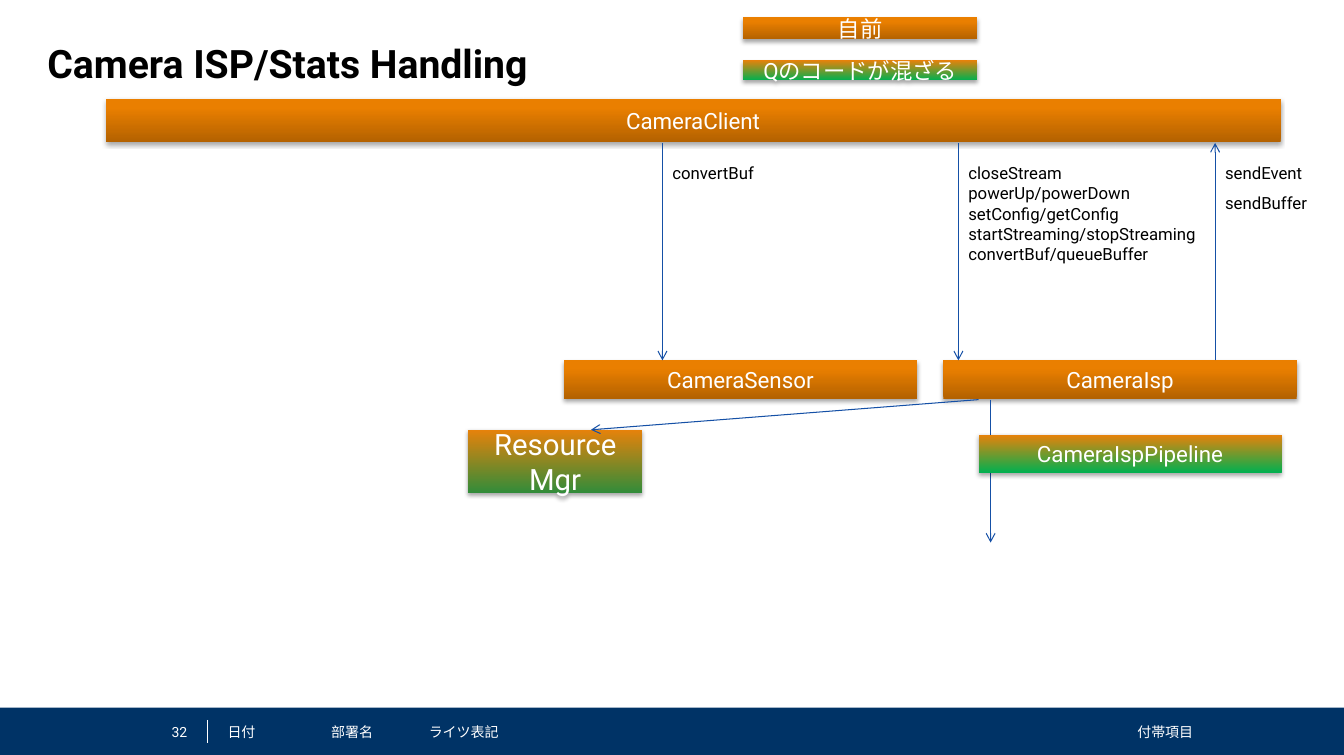
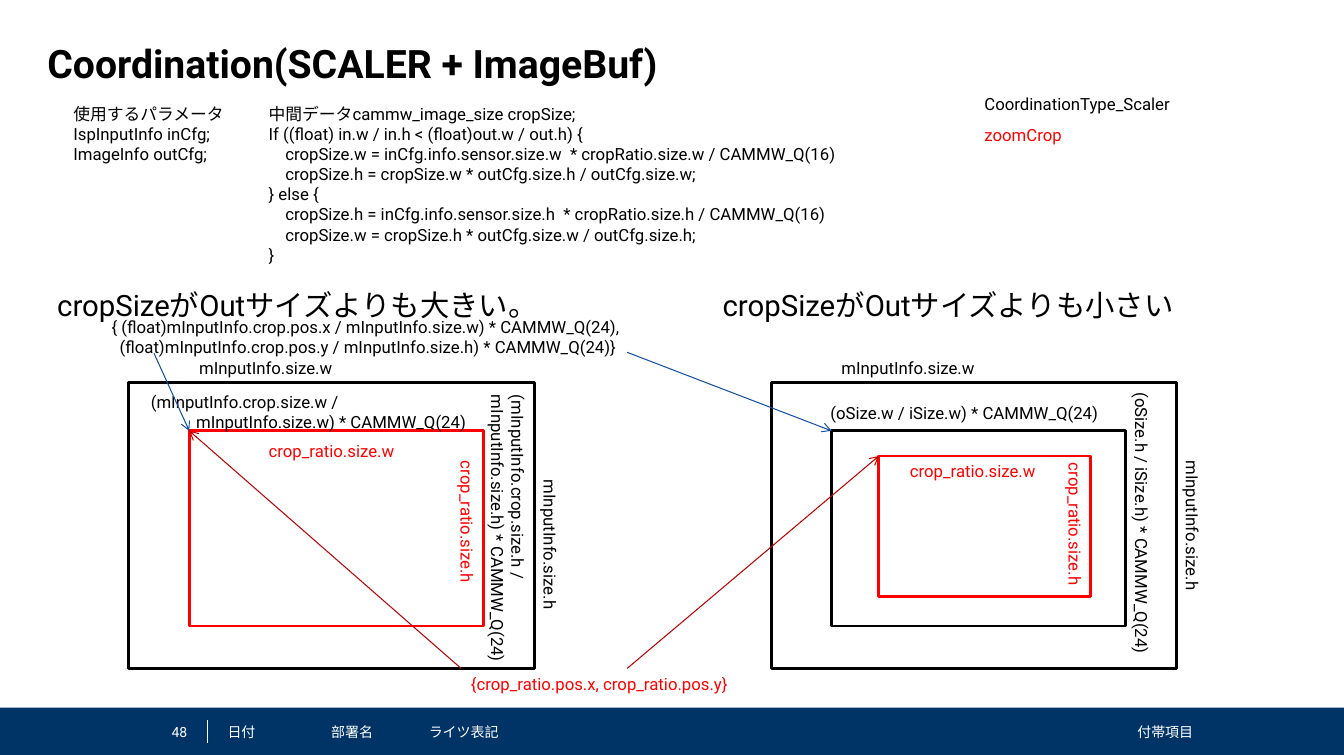
from lxml.etree import SubElement
from pptx import Presentation
from pptx.dml.color import RGBColor
from pptx.enum.shapes import MSO_CONNECTOR, MSO_SHAPE
from pptx.enum.text import MSO_ANCHOR, MSO_AUTO_SIZE, PP_ALIGN
from pptx.oxml.ns import qn
from pptx.util import Inches, Pt

FONT = "Roboto"
BLACK = RGBColor(0x00, 0x00, 0x00)
WHITE = RGBColor(0xFF, 0xFF, 0xFF)
RED = RGBColor(0xFF, 0x00, 0x00)
CRIMSON = RGBColor(0xC0, 0x00, 0x00)
BLUE = RGBColor(0x15, 0x50, 0xA6)
NAVY = RGBColor(0x00, 0x33, 0x66)
OWN = (RGBColor(0xB4, 0x62, 0x00), RGBColor(0xEA, 0x7F, 0x00), 0.8)
MIXED = (RGBColor(0x00, 0xB0, 0x50), RGBColor(0xE6, 0x82, 0x0B), 1)
BLEND = (RGBColor(0x31, 0x8C, 0x3A), RGBColor(0xE6, 0x82, 0x0B), 1)


def area(*sizes):
    return [Inches(size) for size in sizes]


def write(frame, lines, size, color, align=PP_ALIGN.LEFT, bold=False, hang=0):
    for row, line in enumerate(lines):
        para = frame.paragraphs[0] if row == 0 else frame.add_paragraph()
        para.alignment = align
        if row and hang:
            para._p.get_or_add_pPr().set("marL", str(Inches(hang)))
        run = para.add_run()
        run.text = line
        run.font.name = FONT
        run.font.size = Pt(size)
        run.font.bold = bold
        run.font.color.rgb = color


def pad(frame, side, top):
    frame.margin_left = frame.margin_right = Inches(side)
    frame.margin_top = frame.margin_bottom = Inches(top)


def label(slide, x, y, width, lines, color=BLACK, size=12, turn=0, hang=0, wrap=False):
    height = 0.1 + len(lines) * size / 60
    box = slide.shapes.add_textbox(*area(x, y, width, height))
    box.rotation = turn
    frame = box.text_frame
    frame.word_wrap = wrap
    frame.auto_size = MSO_AUTO_SIZE.SHAPE_TO_FIT_TEXT
    pad(frame, 0.1, 0.05)
    write(frame, lines, size, color, hang=hang)


def rect(slide, x, y, width, height):
    shape = slide.shapes.add_shape(MSO_SHAPE.RECTANGLE, *area(x, y, width, height))
    shape.shadow.inherit = False
    return shape


def block(slide, x, y, width, height, text, tint=OWN, size=16):
    shape = rect(slide, x, y, width, height)
    low, high, stop = tint
    shape.fill.gradient()
    shape.fill.gradient_angle = 90
    first, last = shape.fill.gradient_stops
    first.color.rgb, first.position = low, 0
    last.color.rgb, last.position = high, stop
    shape.line.fill.background()
    effect = shape.element.spPr.find(qn("a:effectLst"))
    shade = SubElement(effect, qn("a:outerShdw"), blurRad="40000", dist="23000",
                       dir="5400000", rotWithShape="0")
    tone = SubElement(shade, qn("a:srgbClr"), val="000000")
    SubElement(tone, qn("a:alpha"), val="35000")
    frame = shape.text_frame
    frame.word_wrap = True
    frame.vertical_anchor = MSO_ANCHOR.MIDDLE
    pad(frame, 0.1, 0.05)
    write(frame, [text], size, WHITE, PP_ALIGN.CENTER)


def border(slide, x, y, width, height, color=BLACK):
    shape = rect(slide, x, y, width, height)
    shape.fill.background()
    shape.line.color.rgb = color
    shape.line.width = Pt(2)


def line(slide, start, end, color=BLUE, width=0.75, arrow=True):
    link = slide.shapes.add_connector(MSO_CONNECTOR.STRAIGHT, *area(*start, *end))
    link.line.color.rgb = color
    link.line.width = Pt(width)
    props = link.element.spPr
    if arrow:
        SubElement(props.find(qn("a:ln")), qn("a:tailEnd"), type="arrow")
    SubElement(props, qn("a:effectLst"))


def footer(slide, page):
    band = rect(slide, 0, 7.03, 13.35, 0.47)
    band.fill.solid()
    band.fill.fore_color.rgb = NAVY
    band.line.fill.background()
    line(slide, (2.06, 7.15), (2.06, 7.38), WHITE, 0.25, False)
    for x, width, text, align in (
        (1.55, 0.31, str(page), PP_ALIGN.RIGHT),
        (2.26, 0.85, "日付", PP_ALIGN.LEFT),
        (3.29, 0.85, "部署名", PP_ALIGN.LEFT),
        (4.26, 4.34, "ライツ表記", PP_ALIGN.LEFT),
        (8.7, 3.15, "付帯項目", PP_ALIGN.RIGHT),
    ):
        frame = slide.shapes.add_textbox(*area(x, 7.15, width, 0.24)).text_frame
        frame.word_wrap = True
        frame.vertical_anchor = MSO_ANCHOR.MIDDLE
        pad(frame, 0, 0)
        write(frame, [text], 10, WHITE, align)


def start(deck, title, page):
    slide = deck.slides.add_slide(deck.slide_layouts[5])
    footer(slide, page)
    head = slide.shapes.title
    head.left, head.top, head.width, head.height = area(0.47, 0.39, 12.4, 0.59)
    frame = head.text_frame
    frame.auto_size = MSO_AUTO_SIZE.NONE
    frame.vertical_anchor = MSO_ANCHOR.TOP
    pad(frame, 0, 0)
    write(frame, [title], 28, BLACK, bold=True)
    return slide


def handling(deck):
    slide = start(deck, "Camera ISP/Stats Handling", 32)
    block(slide, 1.05, 0.98, 11.67, 0.43, "CameraClient")
    block(slide, 5.6, 3.58, 3.51, 0.38, "CameraSensor")
    block(slide, 9.37, 3.58, 3.51, 0.38, "CameraIsp")
    block(slide, 4.65, 4.27, 1.73, 0.63, "Resource Mgr", BLEND, 21)
    line(slide, (9.72, 3.97), (5.87, 4.27))
    line(slide, (9.84, 3.97), (9.84, 5.39))
    block(slide, 9.72, 4.32, 3.01, 0.38, "CameraIspPipeline", MIXED)
    block(slide, 7.38, 0.17, 2.33, 0.22, "自前")
    block(slide, 7.38, 0.6, 2.33, 0.2, "Qのコードが混ざる", MIXED)
    for x in (6.58, 9.52):
        line(slide, (x, 1.42), (x, 3.58))
    line(slide, (12.07, 3.58), (12.07, 1.42))
    label(slide, 6.58, 1.57, 1.04, ["convertBuf"])
    label(slide, 9.52, 1.57, 2.56, [
        "closeStream",
        "powerUp/powerDown",
        "setConfig/getConfig",
        "startStreaming/stopStreaming",
        "convertBuf/queueBuffer",
    ])
    label(slide, 12.07, 1.57, 1.01, ["sendEvent"])
    label(slide, 12.07, 1.87, 1.05, ["sendBuffer"])


def scaler(deck):
    slide = start(deck, "Coordination(SCALER + ImageBuf)", 48)
    label(slide, 9.68, 0.88, 2.1, ["CoordinationType_Scaler"])
    label(slide, 9.68, 1.19, 1, ["zoomCrop"], RED)
    label(slide, 0.63, 0.98, 1.72, [
        "使用するパラメータ",
        "IspInputInfo inCfg;",
        "ImageInfo outCfg;",
    ])
    label(slide, 2.57, 0.98, 5.99, [
        "中間データcammw_image_size cropSize;",
        "If ((float) in.w / in.h < (float)out.w / out.h) {",
        "    cropSize.w = inCfg.info.sensor.size.w  * cropRatio.size.w / CAMMW_Q(16)",
        "    cropSize.h = cropSize.w * outCfg.size.h / outCfg.size.w;",
        "} else {",
        "    cropSize.h = inCfg.info.sensor.size.h  * cropRatio.size.h / CAMMW_Q(16)",
        "    cropSize.w = cropSize.h * outCfg.size.w / outCfg.size.h;",
        "}",
    ])
    for x, tone, head, left, text, side, top in (
        (1.28, RED, 0.47, 0.47, "cropSizeがOutサイズよりも大きい。", 4.69, 5.29),
        (7.66, BLACK, 7.08, 7.08, "cropSizeがOutサイズよりも小さい", 11.07, 5.1),
    ):
        label(slide, left, 2.8, 5.33, [text], size=21, wrap=True)
        border(slide, x, 3.8, 4.03, 2.84)
        border(slide, x + 0.6, 4.28, 2.92, 1.94, tone)
        label(slide, x + 0.6, 3.5, 1.58, ["mInputInfo.size.w"])
        label(slide, side, top, 1.55, ["mInputInfo.size.h"], turn=90)
    border(slide, 8.73, 4.53, 2.1, 1.4, RED)
    label(slide, 8.15, 3.95, 3.01, ["(oSize.w / iSize.w) * CAMMW_Q(24)"])
    label(slide, 9.89, 5.1, 2.9, ["(oSize.h / iSize.h) * CAMMW_Q(24)"], turn=90)
    label(slide, 1.4, 3.84, 3.44, [
        "(mInputInfo.crop.size.w /",
        "mInputInfo.size.w) * CAMMW_Q(24)",
    ], hang=0.45)
    label(slide, 3.58, 5.04, 2.93, [
        "(mInputInfo.crop.size.h /",
        "mInputInfo.size.h) * CAMMW_Q(24)",
    ], turn=90)
    label(slide, 1.01, 3.1, 5.39, [
        "{ (float)mInputInfo.crop.pos.x / mInputInfo.size.w) * CAMMW_Q(24),",
        "(float)mInputInfo.crop.pos.y / mInputInfo.size.h) * CAMMW_Q(24)}",
    ], hang=0.08)
    for x, y, side, top in ((2.57, 4.33, 3.89, 5.08), (8.94, 4.53, 9.93, 5.1)):
        label(slide, x, y, 1.5, ["crop_ratio.size.w"], RED)
        label(slide, side, top, 1.5, ["crop_ratio.size.h"], RED, turn=90)
    label(slide, 4.58, 6.64, 2.86, ["{crop_ratio.pos.x, crop_ratio.pos.y}"], RED)
    line(slide, (1.53, 3.51), (1.88, 4.28))
    line(slide, (6.23, 3.5), (8.26, 4.28))
    line(slide, (4.58, 6.64), (1.88, 4.28), CRIMSON)
    line(slide, (6.23, 6.64), (8.73, 4.53), CRIMSON)


def main():
    deck = Presentation()
    deck.slide_width, deck.slide_height = area(13.35, 7.5)
    handling(deck)
    scaler(deck)
    deck.save("out.pptx")


if __name__ == "__main__":
    main()
